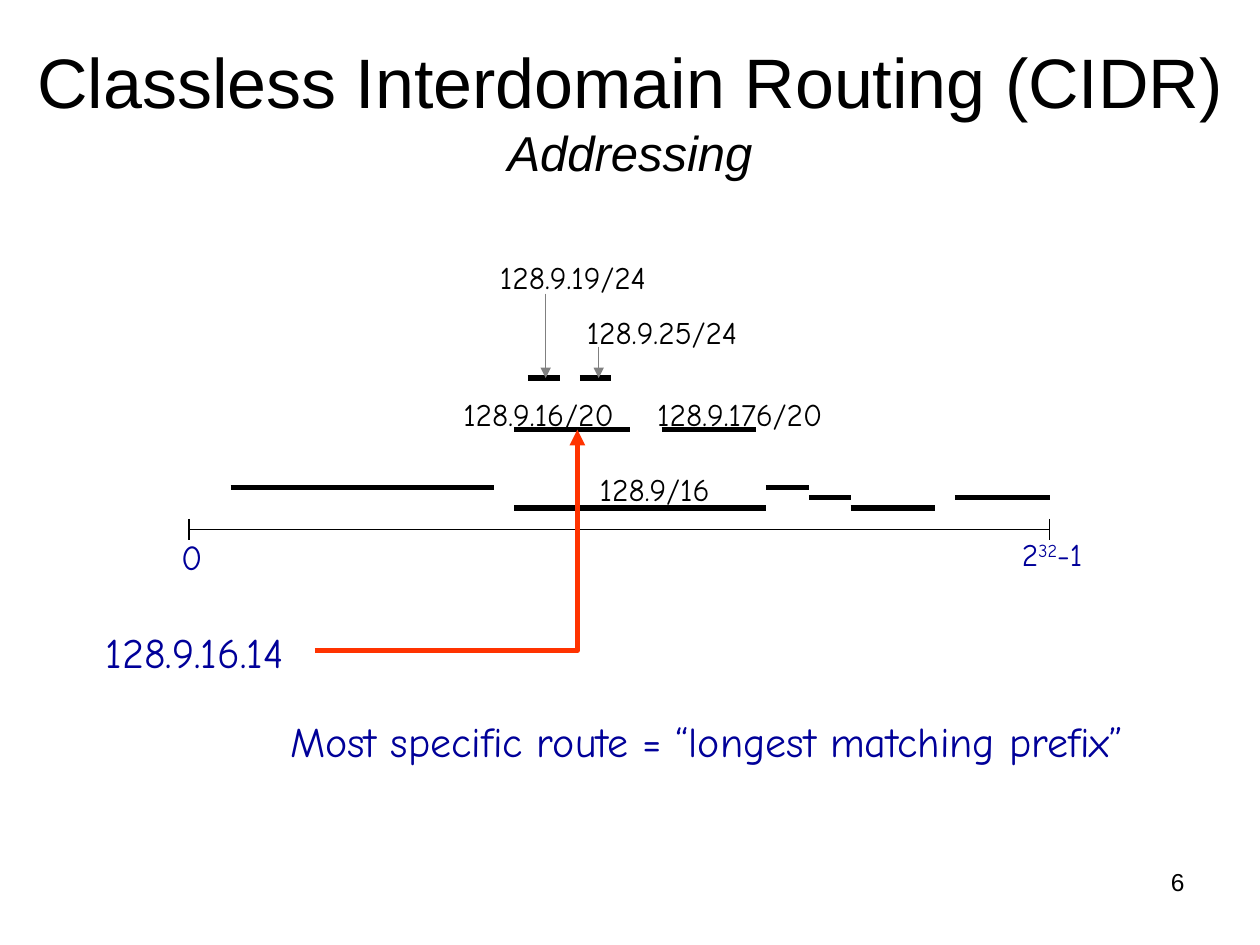
from lxml.etree import SubElement
from pptx import Presentation
from pptx.dml.color import RGBColor
from pptx.enum.shapes import MSO_CONNECTOR as Connector
from pptx.enum.text import MSO_ANCHOR as Anchor, MSO_AUTO_SIZE as AutoSize, PP_ALIGN as Align
from pptx.oxml.ns import qn
from pptx.util import Cm, Pt

BLACK = RGBColor(0x00, 0x00, 0x00)
NAVY = RGBColor(0x00, 0x00, 0x99)
GRAY = RGBColor(0x80, 0x80, 0x80)
ORANGE = RGBColor(0xFF, 0x33, 0x00)
HEADING_FONT = "Arial"
LABEL_FONT = "Comic Neue"

AXIS_LEFT, AXIS_RIGHT, AXIS_Y = 3.81, 21.16, 10.67
TICK = 0.21
SUBNET_Y, HOST_Y = 8.66, 7.62

PREFIX_RANGES = [
    (4.65, 9.96, 9.83),
    (10.37, 15.44, 10.24),
    (15.44, 16.31, 9.83),
    (16.31, 17.15, 10.03),
    (17.15, 18.85, 10.24),
    (19.25, AXIS_RIGHT, 10.03),
    (10.37, 12.7, SUBNET_Y),
    (13.34, 15.24, SUBNET_Y),
    (10.64, 11.28, HOST_Y),
    (11.69, 12.32, HOST_Y),
]
LABELS = [
    ("0", 3.4, AXIS_Y, 0.94, 20, NAVY),
    ("128.9/16", 11.84, 9.35, 2.75, 18, BLACK),
    ("128.9.16.14", 1.88, 12.5, 4.1, 24, NAVY),
    ("128.9.16/20", 9.09, 7.84, 3.65, 18, BLACK),
    ("128.9.176/20", 13, 7.84, 3.9, 18, BLACK),
    ("128.9.19/24", 9.83, 5.08, 3.5, 18, BLACK),
    ("128.9.25/24", 11.58, 6.18, 3.65, 18, BLACK),
    ("Most specific route = “longest matching prefix”", 5.6, 14.3, 17.4, 24, NAVY),
]
POINTERS = [(11, 5.92), (12.07, 6.99)]
ROUTE = [(6.35, 13.11), (11.64, 13.11), (11.64, SUBNET_Y)]


def set_font(font, name, size, color):
    font.name = name
    font.size = Pt(size)
    font.color.rgb = color


def add_box(page, left, top, width, height):
    box = page.shapes.add_textbox(Cm(left), Cm(top), Cm(width), Cm(height))
    box.text_frame.word_wrap = True
    return box.text_frame


def add_label(page, text, left, top, width, size, color):
    frame = add_box(page, left, top, width, size * 0.055)
    frame.word_wrap = False
    frame.auto_size = AutoSize.SHAPE_TO_FIT_TEXT
    para = frame.paragraphs[0]
    para.add_run().text = text
    set_font(para.font, LABEL_FONT, size, color)
    return para


def style_line(line, color, width, arrow=False):
    line.color.rgb = color
    line.width = Pt(width)
    if arrow:
        SubElement(line._get_or_add_ln(), qn("a:tailEnd"), type="triangle")


def add_line(page, start, end, color=BLACK, width=0.75, arrow=False):
    points = [Cm(value) for value in (*start, *end)]
    connector = page.shapes.add_connector(Connector.STRAIGHT, *points)
    style_line(connector.line, color, width, arrow)
    SubElement(connector._element.spPr, qn("a:effectLst"))


def add_route(page, points):
    start, *rest = [(Cm(x), Cm(y)) for x, y in points]
    builder = page.shapes.build_freeform(*start)
    builder.add_line_segments(rest, close=False)
    route = builder.convert_to_shape()
    route.shadow.inherit = False
    route.fill.background()
    style_line(route.line, ORANGE, 3, arrow=True)


def add_title(page):
    frame = add_box(page, 0, 0.62, 25.4, 3.18)
    frame.vertical_anchor = Anchor.MIDDLE
    para = frame.paragraphs[0]
    para.alignment = Align.CENTER
    heading = para.add_run()
    heading.text = "Classless Interdomain Routing (CIDR)"
    set_font(heading.font, HEADING_FONT, 40, BLACK)
    para.add_line_break()
    subtitle = para.add_run()
    subtitle.text = "Addressing"
    set_font(subtitle.font, HEADING_FONT, 28, BLACK)
    subtitle.font.italic = True


def add_axis(page):
    add_line(page, (AXIS_LEFT, AXIS_Y), (AXIS_RIGHT, AXIS_Y))
    for x in (AXIS_LEFT, AXIS_RIGHT):
        add_line(page, (x, AXIS_Y - TICK), (x, AXIS_Y + TICK))
    para = add_label(page, "2", 20.35, AXIS_Y, 1.75, 18, NAVY)
    exponent = para.add_run()
    exponent.text = "32"
    exponent._r.get_or_add_rPr().set("baseline", "30000")
    para.add_run().text = "-1"


def add_page_number(page):
    para = add_box(page, 18.21, 17.35, 5.92, 1.32).paragraphs[0]
    para.text = "6"
    para.alignment = Align.RIGHT
    set_font(para.font, HEADING_FONT, 14, BLACK)


def main():
    deck = Presentation()
    deck.slide_width, deck.slide_height = Cm(25.4), Cm(19.05)
    page = deck.slides.add_slide(deck.slide_layouts[6])
    add_title(page)
    add_axis(page)
    for left, right, y in PREFIX_RANGES:
        add_line(page, (left, y), (right, y), width=3)
    for label in LABELS:
        add_label(page, *label)
    for x, top in POINTERS:
        add_line(page, (x, top), (x, HOST_Y), GRAY, arrow=True)
    add_route(page, ROUTE)
    add_page_number(page)
    deck.save("out.pptx")


if __name__ == "__main__":
    main()
